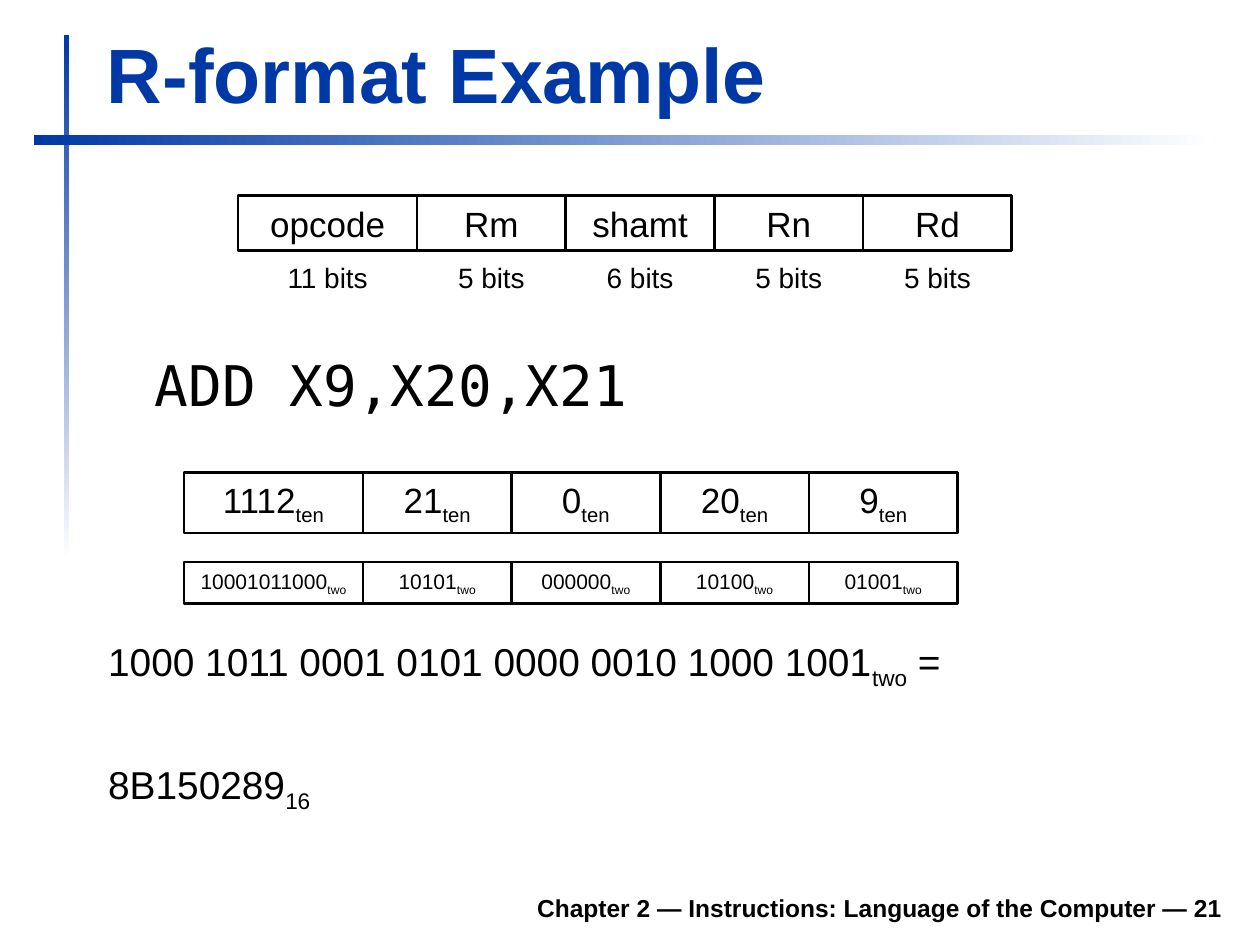
import pptx
import pptx.util
import pptx.dml.color
import pptx.enum.shapes
import pptx.enum.text
from dataclasses import dataclass

Inches, Pt = pptx.util.Inches, pptx.util.Pt
RGB = pptx.dml.color.RGBColor
ALIGN = pptx.enum.text.PP_ALIGN
ANCHOR = pptx.enum.text.MSO_ANCHOR
RECTANGLE = pptx.enum.shapes.MSO_SHAPE.RECTANGLE


@dataclass(frozen=True)
class Theme:
    blue: RGB = RGB(0x00, 0x39, 0xA6)
    black: RGB = RGB(0, 0, 0)
    white: RGB = RGB(0xFF, 0xFF, 0xFF)
    sans: str = "Arial"
    mono: str = "DejaVu Sans Mono"
    title: float = 44
    code: float = 32
    result: float = 22.2
    field: float = 20
    bits: float = 16
    footer: float = 14
    binary: float = 12


THEME = Theme()

TITLE = "R-format Example"
INSTRUCTION = "ADD X9,X20,X21"
FOOTER = "Chapter 2 — Instructions: Language of the Computer — 21"
FIELDS = [  # name, width in bits, decimal value, binary value
    ("opcode", "11 bits", "1112", "10001011000"),
    ("Rm", "5 bits", "21", "10101"),
    ("shamt", "6 bits", "0", "000000"),
    ("Rn", "5 bits", "20", "10100"),
    ("Rd", "5 bits", "9", "01001"),
]
RESULT = [  # digits, subscript, ending
    ("1000 1011 0001 0101 0000 0010 1000 1001", "two", " ="),
    ("8B150289", "16", ""),
]

NAMES, BITS, DECIMALS, BINARIES = zip(*FIELDS)
FIELD_WIDTHS = [1.42] + [1.18] * 4
FORMAT_LEFT, VALUES_LEFT = 1.89, 1.46


def add_runs(para, parts, size, font=THEME.sans, color=THEME.black, bold=False):
    """Add the parts as runs; every second one is a subscript."""
    for index, text in enumerate(parts):
        if not text:
            continue
        span = para.add_run()
        span.text = text
        span.font.name = font
        span.font.size = Pt(size)
        span.font.bold = bold
        span.font.color.rgb = color
        if index % 2:
            span.font._element.set("baseline", "-25000")


def add_text(page, place, parts, size, align=ALIGN.LEFT, anchor=ANCHOR.TOP, **style):
    box = page.shapes.add_textbox(*map(Inches, place))
    frame = box.text_frame
    frame.word_wrap = True
    frame.vertical_anchor = anchor
    frame.paragraphs[0].alignment = align
    add_runs(frame.paragraphs[0], parts, size, **style)
    return frame


def add_fading_bar(page, place, angle):
    bar = page.shapes.add_shape(RECTANGLE, *map(Inches, place))
    bar.shadow.inherit = False
    bar.line.fill.background()
    bar.fill.gradient()
    bar.fill.gradient_angle = angle
    for stop, color, position in zip(
        bar.fill.gradient_stops, (THEME.blue, THEME.white), (0, 1)
    ):
        stop.color.rgb = color
        stop.position = position


def field_places(left, top, height):
    for width in FIELD_WIDTHS:
        yield left, top, width, height
        left += width


def add_field_row(page, left, top, height, texts, size, base=""):
    for place, text in zip(field_places(left, top, height), texts):
        cell = page.shapes.add_shape(RECTANGLE, *map(Inches, place))
        cell.shadow.inherit = False
        cell.fill.background()
        cell.line.color.rgb = THEME.black
        cell.line.width = Pt(1.5)
        frame = cell.text_frame
        frame.vertical_anchor = ANCHOR.MIDDLE
        frame.paragraphs[0].alignment = ALIGN.CENTER
        add_runs(frame.paragraphs[0], (text, base), size)


def main():
    deck = pptx.Presentation()
    deck.slide_width, deck.slide_height = Inches(10), Inches(7.5)
    page = deck.slides.add_slide(deck.slide_layouts[6])

    add_fading_bar(page, (0.51, 0.28, 0.04, 4.17), 270)
    add_fading_bar(page, (0.27, 1.07, 9.37, 0.08), 0)
    add_text(page, (1.85, 6.98, 7.95, 0.39), [FOOTER], THEME.footer,
             ALIGN.RIGHT, ANCHOR.BOTTOM, bold=True)
    add_text(page, (0.75, 0.16, 9.03, 0.83), [TITLE], THEME.title,
             anchor=ANCHOR.BOTTOM, color=THEME.blue, bold=True)

    add_field_row(page, FORMAT_LEFT, 1.55, 0.44, NAMES, THEME.field)
    for place, text in zip(field_places(FORMAT_LEFT, 2.02, 0.37), BITS):
        add_text(page, place, [text], THEME.bits, ALIGN.CENTER)

    code = add_text(page, (0.75, 2.73, 9.04, 0.71), [INSTRUCTION], THEME.code,
                    font=THEME.mono)
    code.margin_left = Inches(0.48)

    add_field_row(page, VALUES_LEFT, 3.75, 0.48, DECIMALS, THEME.field, "ten")
    add_field_row(page, VALUES_LEFT, 4.46, 0.33, BINARIES, THEME.binary, "two")

    result = add_text(page, (0.76, 5.01, 7.48, 1.55), RESULT[0], THEME.result)
    last = result.add_paragraph()
    last.space_before = Pt(40)
    add_runs(last, RESULT[1], THEME.result)

    deck.save("out.pptx")


if __name__ == "__main__":
    main()
